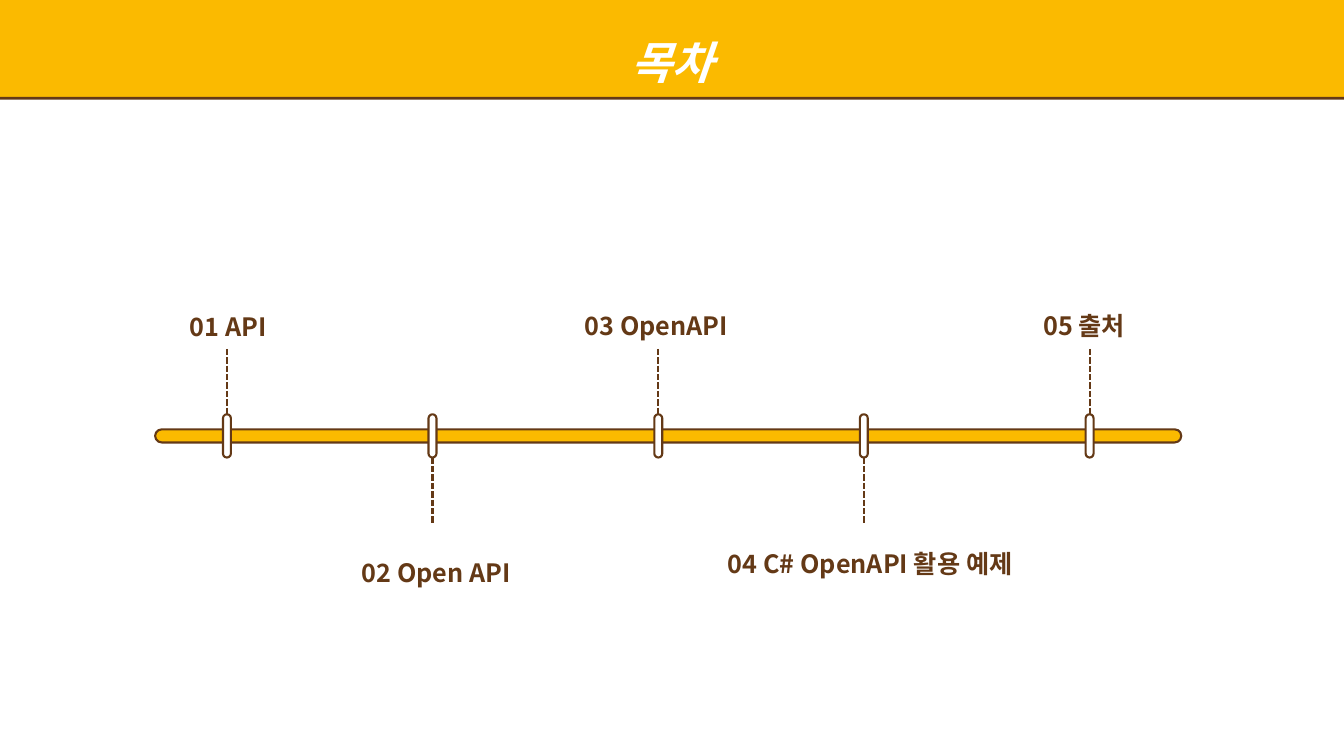
from dataclasses import dataclass

from lxml import etree
from pptx import Presentation
from pptx.dml.color import RGBColor
from pptx.enum.dml import MSO_LINE
from pptx.enum.shapes import MSO_CONNECTOR, MSO_SHAPE
from pptx.enum.text import MSO_ANCHOR, PP_ALIGN
from pptx.oxml.ns import qn
from pptx.util import Cm, Pt

ROUNDED = MSO_SHAPE.ROUNDED_RECTANGLE
RECTANGLE = MSO_SHAPE.RECTANGLE
STRAIGHT = MSO_CONNECTOR.STRAIGHT
DASH = MSO_LINE.SQUARE_DOT
CENTER = PP_ALIGN.CENTER
MIDDLE = MSO_ANCHOR.MIDDLE

COLORS = {"amber": "FBBA00", "brown": "643916", "white": "FFFFFF"}
FONT = "Noto Sans CJK KR"

# Lengths in centimetres
SLIDE_W, SLIDE_H = 33.87, 19.05
BAND_H, EDGE_H = 2.44, 0.07
BAR_X, BAR_Y, BAR_W, BAR_H = 3.91, 10.82, 25.86, 0.33
TICK_W, TICK_H = 0.2, 1.09
TICK_Y = BAR_Y + (BAR_H - TICK_H) / 2
FIRST_TICK, PAIR_STEP, LOWER_SHIFT = 5.72, 10.87, 5.18
STEM = 1.65
LABEL_H = 1.38


@dataclass
class Chapter:
    text: str
    center: float
    top: float
    width: float = 6.48


CHAPTERS = [
    Chapter("01 API", 5.75, 7.34),
    Chapter("02 Open API", 10.99, 13.54),
    Chapter("03 OpenAPI", 16.54, 7.32),
    Chapter("04 C# OpenAPI 활용 예제", 21.93, 13.31, 8.46),
    Chapter("05 출처", 27.32, 7.32),
]


def rgb(name: str) -> RGBColor:
    return RGBColor.from_string(COLORS[name])


def style_paragraph(p, size: float, color: str, italic: bool = False) -> None:
    p.alignment = CENTER
    p.line_spacing = 1.5
    font = p.font
    font.size = Pt(size)
    font.bold = True
    font.italic = italic
    font.color.rgb = rgb(color)
    font.name = FONT
    # Hangul takes the East Asian typeface
    props = p._p.pPr.find(qn("a:defRPr"))
    etree.SubElement(props, qn("a:ea")).set("typeface", FONT)


def add_box(s, kind, x: float, y: float, w: float, h: float, fill: str):
    sp = s.shapes.add_shape(kind, Cm(x), Cm(y), Cm(w), Cm(h))
    sp.shadow.inherit = False
    sp.fill.solid()
    sp.fill.fore_color.rgb = rgb(fill)
    sp.line.fill.background()
    return sp


def add_pill(s, x: float, y: float, w: float, h: float, fill: str) -> None:
    """Add an outlined bar with fully rounded ends."""
    sp = add_box(s, ROUNDED, x, y, w, h, fill)
    sp.adjustments[0] = 0.5
    sp.line.color.rgb = rgb("brown")
    sp.line.width = Pt(1.5)


def add_stem(s, x: float, top: float) -> None:
    """Add the dashed line between a tick and its label."""
    line = s.shapes.add_connector(STRAIGHT, Cm(x), Cm(top), Cm(x), Cm(top + STEM))
    line.line.color.rgb = rgb("brown")
    line.line.width = Pt(1.5)
    line.line.dash_style = DASH
    etree.SubElement(line._element.spPr, qn("a:effectLst"))


def add_label(s, chapter: Chapter) -> None:
    left = chapter.center - chapter.width / 2
    sp = s.shapes.add_textbox(Cm(left), Cm(chapter.top), Cm(chapter.width), Cm(LABEL_H))
    tf = sp.text_frame
    tf.word_wrap = True
    tf.text = chapter.text
    style_paragraph(tf.paragraphs[0], 18, "brown")


def add_chapter(s, index: int, chapter: Chapter) -> None:
    """Add a tick, stem and label; chapters alternate above and below the bar."""
    pair, below = divmod(index, 2)
    x = FIRST_TICK + pair * PAIR_STEP + below * LOWER_SHIFT
    add_pill(s, x - TICK_W / 2, TICK_Y, TICK_W, TICK_H, "white")
    add_stem(s, x, TICK_Y + TICK_H if below else TICK_Y - STEM)
    add_label(s, chapter)


def add_heading(s, text: str) -> None:
    sp = s.shapes.title
    sp.left, sp.top, sp.width, sp.height = Cm(0), Cm(0), Cm(SLIDE_W), Cm(BAND_H)
    sp.fill.solid()
    sp.fill.fore_color.rgb = rgb("amber")
    tf = sp.text_frame
    tf.text = text
    tf.vertical_anchor = MIDDLE
    style_paragraph(tf.paragraphs[0], 32, "white", italic=True)
    add_box(s, RECTANGLE, 0, BAND_H, SLIDE_W, EDGE_H, "brown")


def main() -> None:
    prs = Presentation()
    prs.slide_width, prs.slide_height = Cm(SLIDE_W), Cm(SLIDE_H)
    s = prs.slides.add_slide(prs.slide_layouts[5])
    add_heading(s, "목차")
    add_pill(s, BAR_X, BAR_Y, BAR_W, BAR_H, "amber")
    for index, chapter in enumerate(CHAPTERS):
        add_chapter(s, index, chapter)
    prs.save("out.pptx")


if __name__ == "__main__":
    main()
